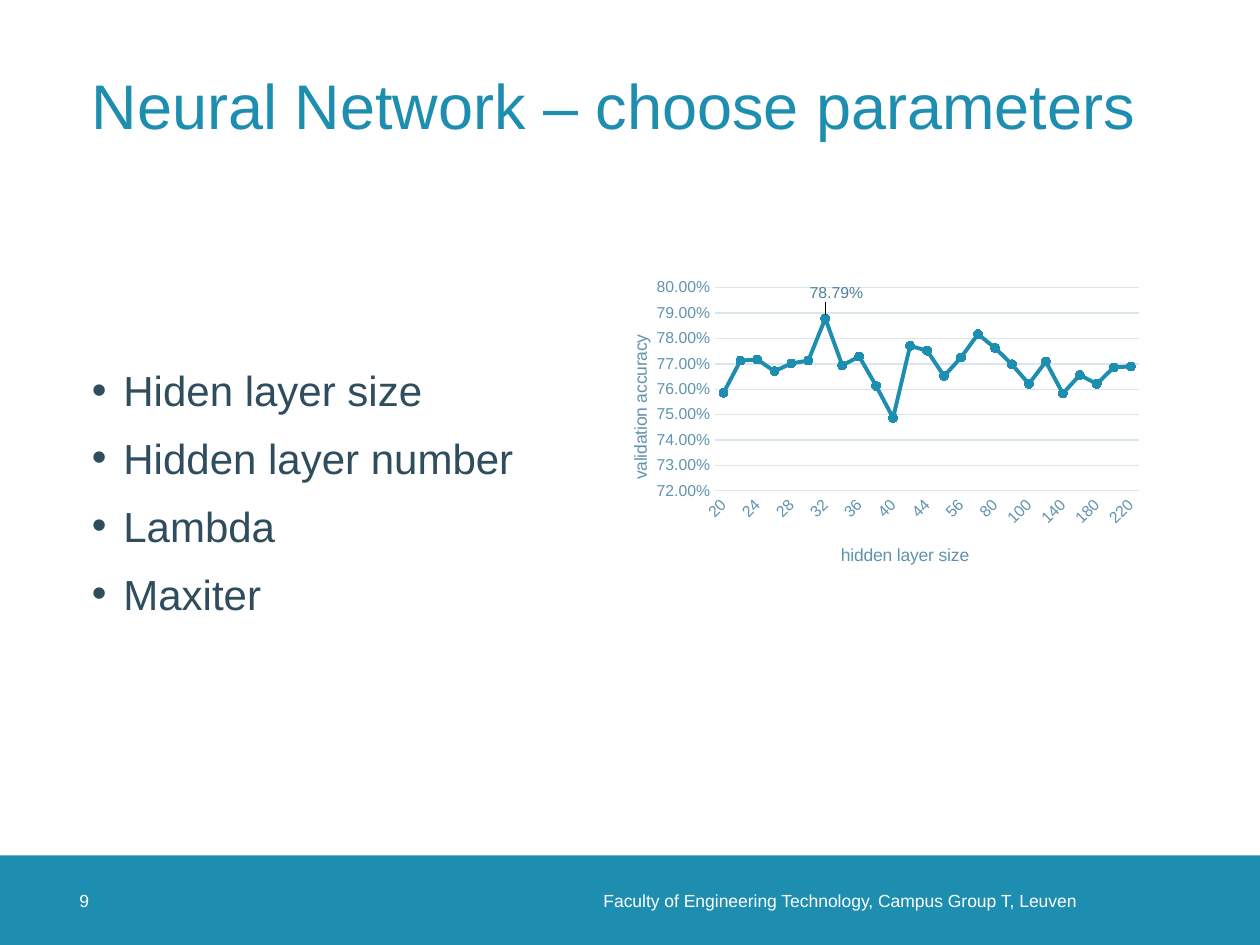
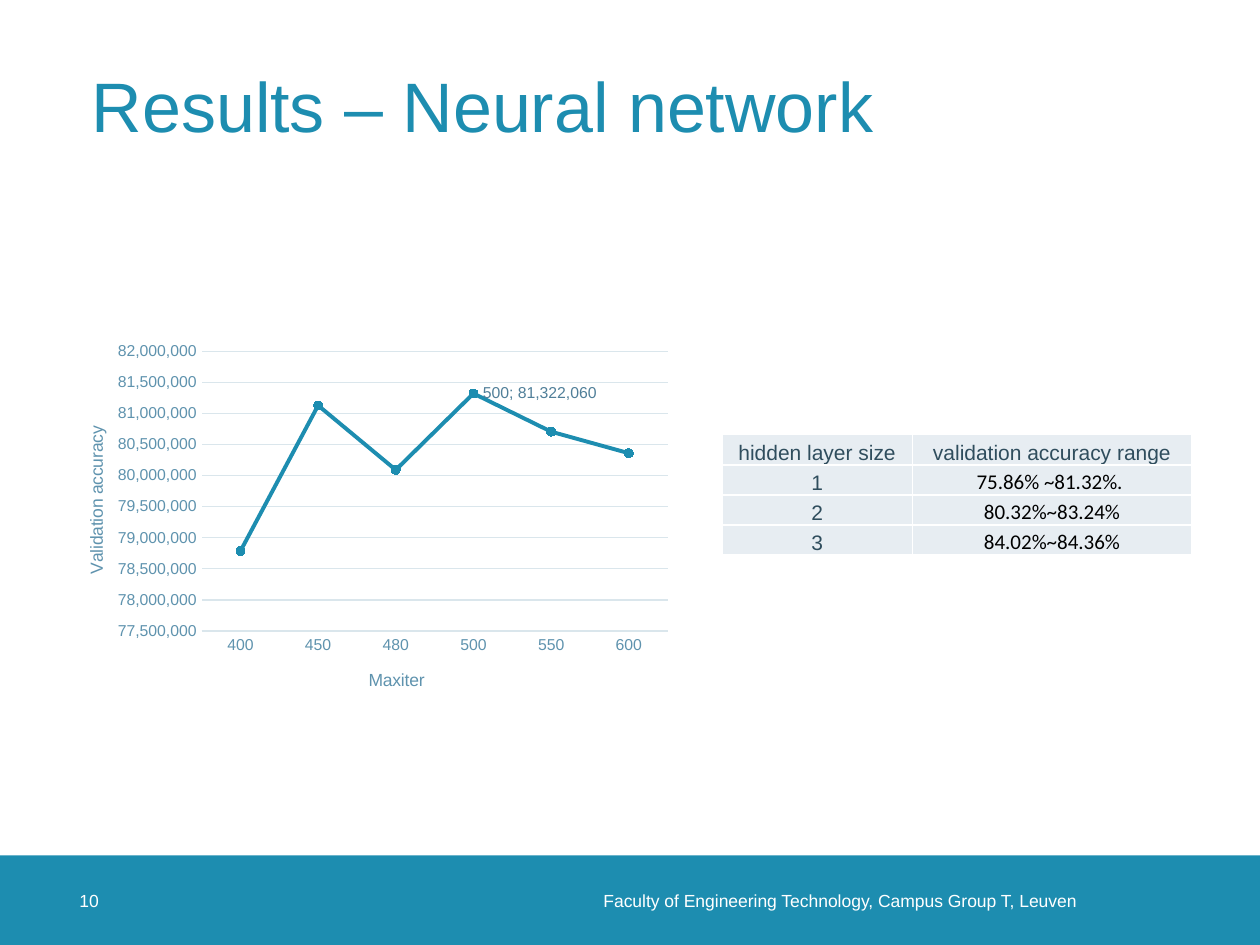
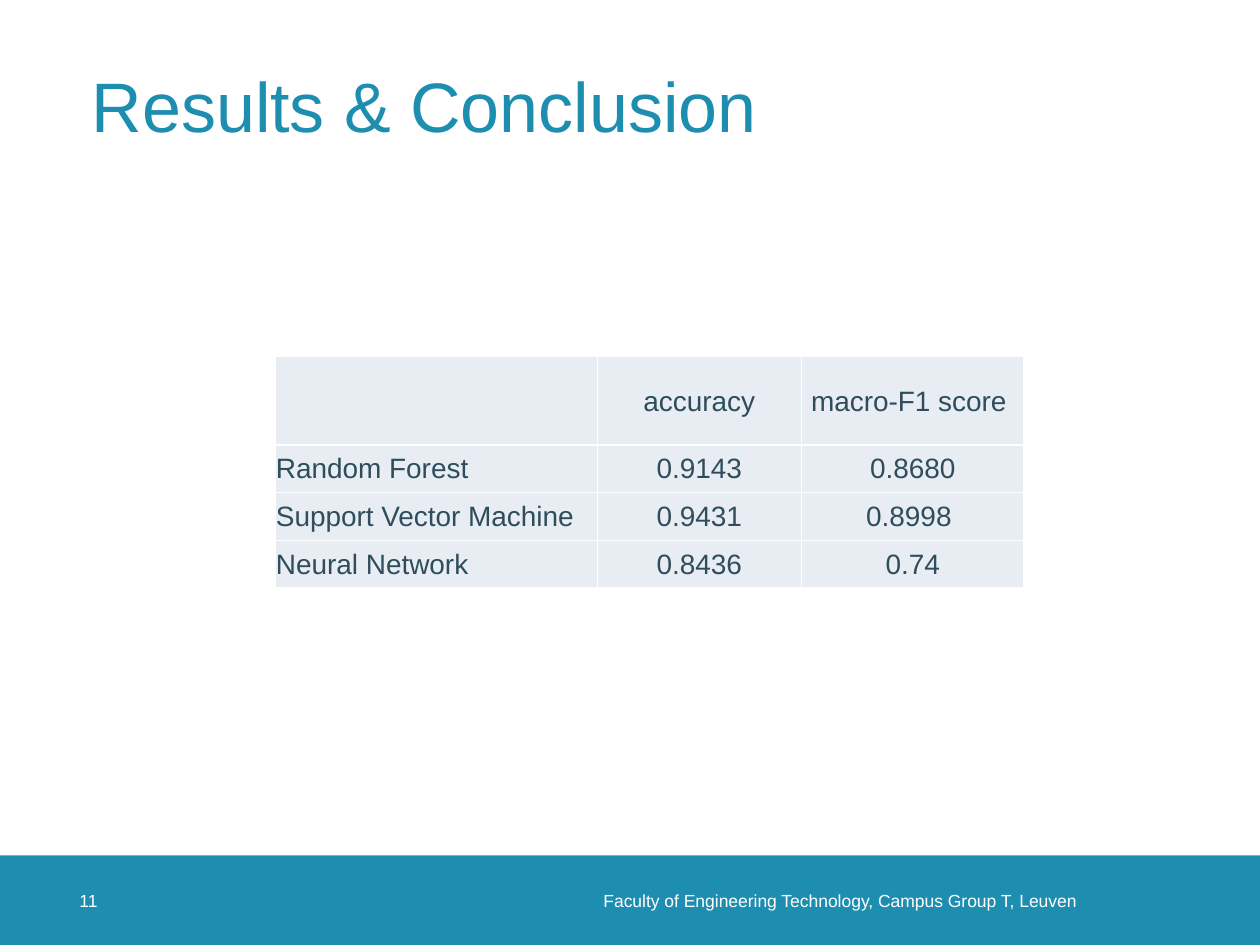
from pptx import Presentation
from pptx.chart.data import CategoryChartData
from pptx.dml.color import RGBColor
from pptx.enum.chart import XL_CHART_TYPE as CT, XL_LABEL_POSITION as LP
from pptx.enum.chart import XL_MARKER_STYLE as MS, XL_TICK_MARK as TM
from pptx.enum.shapes import MSO_SHAPE as SHAPE
from pptx.enum.text import MSO_ANCHOR as ANCHOR, PP_ALIGN as ALIGN
from pptx.oxml import parse_xml
from pptx.oxml.ns import nsdecls
from pptx.util import Pt

TEAL, INK, WHITE, BLACK = "1D8DB0", "2F4D5D", "FFFFFF", "000000"
AXIS, LABEL, GRID, CELL = "5F93AE", "507F99", "DAE6EC", "E7EDF2"
BODY_FONT, NUMBER_FONT = "Arial", "Calibri"
FOOTER = "Faculty of Engineering Technology, Campus Group T, Leuven"
WIDTH, HEIGHT, BAND_H, LEFT = 720, 540, 51.2, 45.4
BAND_Y = HEIGHT - BAND_H

# Layouts are fractions of the chart frame: x, y and, for the plot, w, h.
SIZE_CHART = dict(
    box=(338.4, 155.5, 319, 178.6), fmt="0.00%", scale=(0.72, 0.80, 0.01),
    cats=[*range(20, 46, 2), 50, 56, *range(70, 101, 10), *range(120, 221, 20)],
    vals=[0.7586, 0.7713, 0.7717, 0.7671, 0.7702, 0.7713, 0.7879, 0.7694, 0.7729,
          0.7613, 0.7487, 0.7771, 0.7752, 0.7652, 0.7725, 0.7817, 0.7763, 0.7698,
          0.7621, 0.7709, 0.7583, 0.7656, 0.7621, 0.7686, 0.7690],
    titles=("hidden layer size", "validation accuracy"),
    plot=(0.22, 0.05, 0.76, 0.65), title_at=((0.44, 0.86), (0.06, 0.19)),
    peak=6, position=LP.ABOVE, shift=(0.02, -0.02), slanted=True)
ITER_CHART = dict(
    box=(28.8, 190, 360, 216), fmt="#,##0", scale=(77500000, 82000000, 500000),
    cats=[400, 450, 480, 500, 550, 600],
    vals=[78785550, 81129900, 80092237, 81322060, 80707148, 80361261],
    titles=("Maxiter", "Validation accuracy"),
    plot=(0.24, 0.05, 0.74, 0.74), title_at=((0.5, 0.88), (0.05, 0.24)),
    peak=3, position=LP.RIGHT, show_category=True)
RANGE_TABLE = dict(
    at=(412.6, 248.4), cols=[108.7, 159.8], rows=[17.2] * 4, size=12,
    anchor=ANCHOR.BOTTOM, number_col=1,
    cells=[("hidden layer size", "validation accuracy range"),
           ("1", "75.86% ~81.32%. "), ("2", "80.32%~83.24%"), ("3", "84.02%~84.36%")])
SCORE_TABLE = dict(
    at=(157, 203.8), cols=[184.3, 116.6, 127.4], rows=[50.4] + [27.3] * 3, size=16,
    anchor=ANCHOR.MIDDLE, left_col=0,
    cells=[("", "accuracy", "macro-F1 score "), ("Random Forest", "0.9143", "0.8680"),
           ("Support Vector Machine ", "0.9431", "0.8998 "),
           ("Neural Network", "0.8436", "0.74")])
SLIDES = [
    dict(number=9, title="Neural Network – choose parameters", title_size=36,
         bullets=["Hiden layer size", "Hidden layer number", "Lambda", "Maxiter "],
         chart=SIZE_CHART),
    dict(number=10, title="Results – Neural network", title_size=40,
         table=RANGE_TABLE, chart=ITER_CHART),
    dict(number=11, title="Results & Conclusion", title_size=40, table=SCORE_TABLE),
]


def rgb(color):
    """Turn a hex string into a colour."""
    return RGBColor.from_string(color)


def assign(target, **values):
    """Set several attributes of one object."""
    for name, value in values.items():
        setattr(target, name, value)


def style(font, size, color, name=BODY_FONT):
    """Give a font its size, colour and typeface."""
    assign(font, size=Pt(size), name=name)
    font.color.rgb = rgb(color)


def add_text(s, box, lines, size, color, insets=(0, 0, 0, 0), anchor=ANCHOR.MIDDLE,
             **para):
    """Add a text box with one paragraph per line."""
    tf = s.shapes.add_textbox(*map(Pt, box)).text_frame
    assign(tf, word_wrap=True, vertical_anchor=anchor)
    sides = ("margin_left", "margin_top", "margin_right", "margin_bottom")
    assign(tf, **dict(zip(sides, map(Pt, insets))))
    for i, line in enumerate(lines):
        p = tf.paragraphs[0] if i == 0 else tf.add_paragraph()
        assign(p, **para)
        r = p.add_run()
        r.text = line
        style(r.font, size, color)
    return tf


def add_frame(s, number, title, title_size):
    """Add the footer band, its texts and the slide title."""
    band = s.shapes.add_shape(SHAPE.RECTANGLE, 0, Pt(BAND_Y), Pt(WIDTH), Pt(BAND_H))
    band.shadow.inherit = False
    band.fill.solid()
    band.fill.fore_color.rgb = rgb(TEAL)
    band.line.fill.background()
    add_text(s, (338.4, BAND_Y, 291, BAND_H), [FOOTER], 10, WHITE,
             insets=(0, 0, 14.4, 0), alignment=ALIGN.RIGHT)
    add_text(s, (LEFT, BAND_Y, BAND_H, BAND_H), [str(number)], 10, WHITE)
    add_text(s, (LEFT, 17.3, 629.3, 90.7), [title], title_size, TEAL,
             insets=(7.2, 3.6, 7.2, 3.6), line_spacing=0.9)


def add_bullets(s, lines):
    """Add the bulleted list."""
    tf = add_text(s, (LEFT, 166.3, 303.8, 229), lines, 24, INK,
                  insets=(7.2, 3.6, 7.2, 3.6), anchor=ANCHOR.MIDDLE,
                  space_before=Pt(10))
    for p in tf.paragraphs:
        pPr = p._p.get_or_add_pPr()
        pPr.set("marL", str(Pt(18)))
        pPr.set("indent", str(-Pt(18)))
        pPr.append(parse_xml(f'<a:buFont {nsdecls("a")} typeface="Arial"/>'))
        pPr.append(parse_xml(f'<a:buChar {nsdecls("a")} char="•"/>'))


def set_layout(parent, values, inner=False):
    """Place a chart part by fractions of the chart frame."""
    for old in parent.xpath("c:layout"):
        parent.remove(old)
    target = '<c:layoutTarget val="inner"/>' if inner else ""
    modes = "" if parent.tag.endswith("dLbl") else (
        '<c:xMode val="edge"/><c:yMode val="edge"/>')
    parts = "".join(f'<c:{k} val="{v}"/>' for k, v in zip("xywh", values))
    first = len(parent.xpath("c:tx | c:idx"))
    parent.insert(first, parse_xml(
        f'<c:layout {nsdecls("c")}><c:manualLayout>{target}{modes}{parts}'
        "</c:manualLayout></c:layout>"))


def set_line(line, color, width):
    """Give a line its colour and width."""
    line.color.rgb = rgb(color)
    line.width = Pt(width)


def add_line_chart(s, box, fmt, scale, cats, vals, titles, plot, title_at, peak,
                   position, shift=None, slanted=False, show_category=False):
    """Add a line chart that labels only its peak."""
    data = CategoryChartData(number_format=fmt)
    data.categories = [str(c) for c in cats]
    data.add_series("Series 1", vals)
    chart = s.shapes.add_chart(CT.LINE_MARKERS, *map(Pt, box), data).chart
    assign(chart, has_legend=False, has_title=False)
    style(chart.font, 10, INK)
    set_layout(chart._chartSpace.xpath(".//c:plotArea")[0], plot, inner=True)

    cat, val = chart.category_axis, chart.value_axis
    for axis, text, place in zip((cat, val), titles, title_at):
        assign(axis, major_tick_mark=TM.NONE, minor_tick_mark=TM.NONE)
        style(axis.tick_labels.font, 9, AXIS)
        tf = axis.axis_title.text_frame
        tf.text = text
        style(tf.paragraphs[0].runs[0].font, 10, AXIS)
        tf.paragraphs[0].runs[0].font.bold = False
        set_layout(axis.axis_title._element, place)
    tf._txBody.bodyPr.set("rot", "-5400000")
    tf._txBody.bodyPr.set("vert", "horz")
    set_line(cat.format.line, GRID, 0.75)
    val.format.line.fill.background()
    set_line(val.major_gridlines.format.line, GRID, 0.75)
    assign(val, **dict(zip(("minimum_scale", "maximum_scale", "major_unit"), scale)))
    assign(val.tick_labels, number_format=fmt, number_format_is_linked=False)
    if slanted:
        cat._element.xpath("c:txPr/a:bodyPr")[0].set("rot", "-2700000")
        cat._element.xpath("c:noMultiLvlLbl")[0].addprevious(
            parse_xml(f'<c:tickLblSkip {nsdecls("c")} val="2"/>'))

    chart.plots[0].vary_by_categories = False
    series = chart.plots[0].series[0]
    series.smooth = False
    set_line(series.format.line, TEAL, 2.25)
    assign(series.marker, style=MS.CIRCLE, size=5)
    series.marker.format.fill.solid()
    series.marker.format.fill.fore_color.rgb = rgb(TEAL)
    set_line(series.marker.format.line, TEAL, 0.75)
    series.data_labels.show_value = False
    label = series.points[peak].data_label
    style(label.font, 9, LABEL)
    label.position = position
    dLbl = series._element.xpath("c:dLbls/c:dLbl")[0]
    if shift:
        set_layout(dLbl, shift)
    if show_category:
        dLbl.xpath("c:showCatName")[0].set("val", "1")
        dLbl.append(parse_xml(f'<c:separator {nsdecls("c")}>; </c:separator>'))


def add_borders(cell):
    """Draw white borders on all four sides of a cell."""
    tcPr = cell._tc.get_or_add_tcPr()
    for i, side in enumerate("LRTB"):
        tcPr.insert(i, parse_xml(
            f'<a:ln{side} {nsdecls("a")} w="{Pt(1)}"><a:solidFill>'
            f'<a:srgbClr val="{WHITE}"/></a:solidFill></a:ln{side}>'))


def add_grid(s, at, cols, rows, size, anchor, cells, number_col=None, left_col=None):
    """Add a table with pale cells and white borders."""
    box = (*at, sum(cols), sum(rows))
    table = s.shapes.add_table(len(rows), len(cols), *map(Pt, box)).table
    assign(table, first_row=False, horz_banding=False)
    for col, width in zip(table.columns, cols):
        col.width = Pt(width)
    for row, height in zip(table.rows, rows):
        row.height = Pt(height)
    for i, texts in enumerate(cells):
        for j, text in enumerate(texts):
            cell = table.cell(i, j)
            assign(cell, vertical_anchor=anchor, margin_left=Pt(0.7),
                   margin_right=Pt(0.7), margin_top=Pt(0.7), margin_bottom=0)
            cell.fill.solid()
            cell.fill.fore_color.rgb = rgb(CELL)
            add_borders(cell)
            if not text:
                continue
            p = cell.text_frame.paragraphs[0]
            p.alignment = ALIGN.LEFT if j == left_col else ALIGN.CENTER
            r = p.add_run()
            r.text = text
            number = i > 0 and j == number_col
            style(r.font, size, *((BLACK, NUMBER_FONT) if number else (INK,)))


prs = Presentation()
assign(prs, slide_width=Pt(WIDTH), slide_height=Pt(HEIGHT))
for content in SLIDES:
    s = prs.slides.add_slide(prs.slide_layouts[6])
    add_frame(s, content["number"], content["title"], content["title_size"])
    if "bullets" in content:
        add_bullets(s, content["bullets"])
    if "table" in content:
        add_grid(s, **content["table"])
    if "chart" in content:
        add_line_chart(s, **content["chart"])
prs.save("out.pptx")
